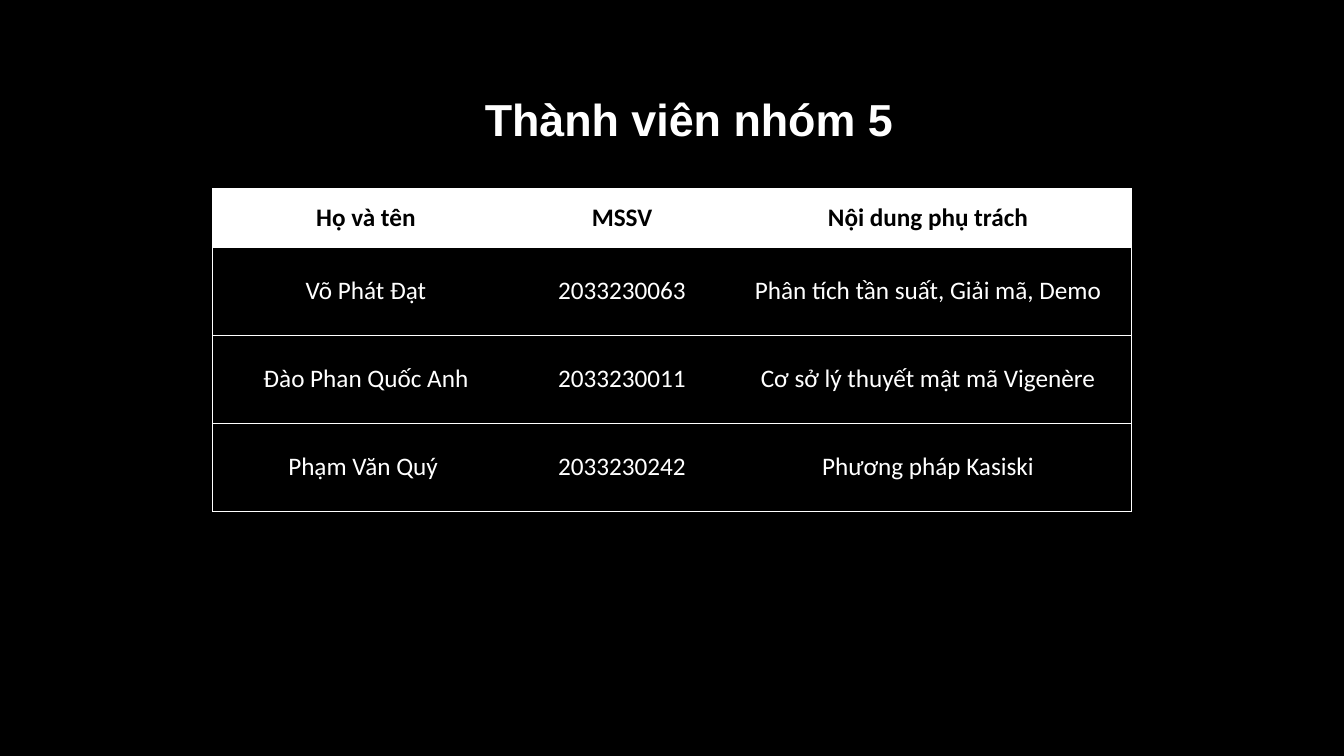
from dataclasses import dataclass

from lxml import etree
from pptx import Presentation
from pptx import util as u
from pptx.dml.color import RGBColor
from pptx.enum import text
from pptx.oxml import ns


@dataclass(frozen=True)
class Theme:
    dark: str = "000000"
    light: str = "FFFFFF"
    title_font: str = "Arial"
    table_font: str = "Calibri"
    title_size: int = 32
    table_size: int = 18
    rule_width: float = 0.5


THEME = Theme()
TITLE_BOX = (4.64, 0.8, 4.39, 0.7)
TABLE_BOX = (2.11, 1.87, 9.11, 3.2)
COLUMN_WIDTHS = (3.04, 2.04, 4.03)
HEADER_HEIGHT = 0.58
MEMBERS = (
    ("Họ và tên", "MSSV", "Nội dung phụ trách"),
    ("Võ Phát Đạt", "2033230063", "Phân tích tần suất, Giải mã, Demo"),
    ("Đào Phan Quốc Anh", "2033230011", "Cơ sở lý thuyết mật mã Vigenère"),
    ("Phạm Văn Quý ", "2033230242", "Phương pháp Kasiski"),
)


def style_para(para, font, size, color, bold):
    para.alignment = text.PP_ALIGN.CENTER
    para.font.name = font
    para.font.size = u.Pt(size)
    para.font.bold = bold
    para.font.color.rgb = RGBColor.from_string(color)


def set_borders(cell, visible):
    """Draw the named sides (L, R, T, B) of a cell and clear the others."""
    properties = cell._tc.get_or_add_tcPr()
    for position, side in enumerate("LRTB"):
        line = etree.Element(ns.qn(f"a:ln{side}"), w=str(u.Pt(THEME.rule_width)))
        if side in visible:
            fill = etree.SubElement(line, ns.qn("a:solidFill"))
            etree.SubElement(fill, ns.qn("a:srgbClr"), val=THEME.light)
        else:
            etree.SubElement(line, ns.qn("a:noFill"))
        properties.insert(position, line)


def add_title(page, box):
    title = page.shapes.title
    title.left, title.top, title.width, title.height = map(u.Inches, box)
    frame = title.text_frame
    frame.text = "Thành viên nhóm 5"
    frame.word_wrap = True
    frame.vertical_anchor = text.MSO_ANCHOR.BOTTOM
    para = frame.paragraphs[0]
    para.line_spacing = 0.9
    style_para(para, THEME.title_font, THEME.title_size, THEME.light, True)


def add_members(page, box):
    last_column = len(COLUMN_WIDTHS) - 1
    body_height = (box[3] - HEADER_HEIGHT) / (len(MEMBERS) - 1)
    table = page.shapes.add_table(
        len(MEMBERS), len(COLUMN_WIDTHS), *map(u.Inches, box)).table
    for column, width in zip(table.columns, COLUMN_WIDTHS):
        column.width = u.Inches(width)

    for r, member in enumerate(MEMBERS):
        header = r == 0
        table.rows[r].height = u.Inches(HEADER_HEIGHT if header else body_height)
        ground, ink = (THEME.light, THEME.dark) if header else (THEME.dark, THEME.light)
        for c, value in enumerate(member):
            cell = table.cell(r, c)
            cell.text = value
            cell.vertical_anchor = text.MSO_ANCHOR.MIDDLE
            cell.fill.solid()
            cell.fill.fore_color.rgb = RGBColor.from_string(ground)
            style_para(cell.text_frame.paragraphs[0], THEME.table_font,
                       THEME.table_size, ink, header)
            # Horizontal rules everywhere, vertical rules on the outside only
            sides = "TB" + ("L" if c == 0 else "") + ("R" if c == last_column else "")
            set_borders(cell, sides)


def main():
    deck = Presentation()
    deck.slide_width, deck.slide_height = u.Inches(13.33), u.Inches(7.5)
    page = deck.slides.add_slide(deck.slide_layouts.get_by_name("Title Only"))
    page.background.fill.solid()
    page.background.fill.fore_color.rgb = RGBColor.from_string(THEME.dark)
    add_title(page, TITLE_BOX)
    add_members(page, TABLE_BOX)
    deck.save("out.pptx")


if __name__ == "__main__":
    main()
